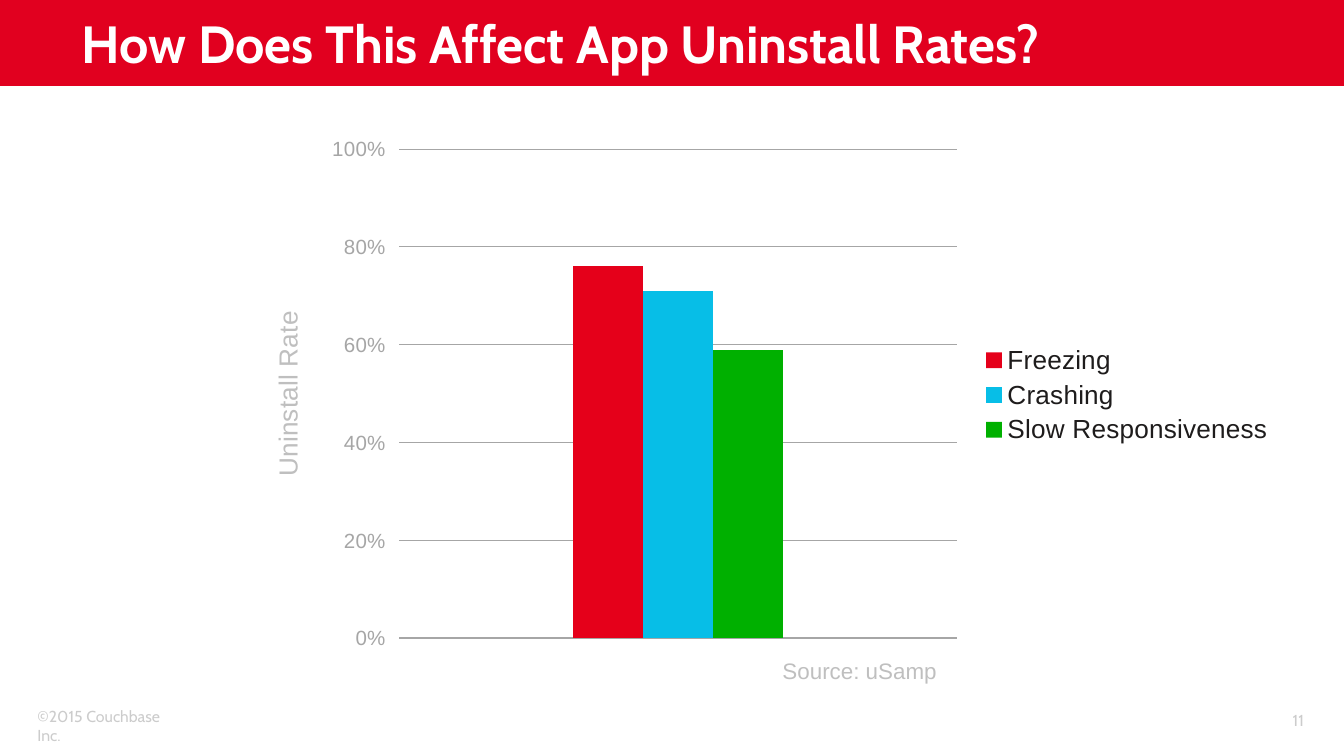
from lxml import etree
from pptx import Presentation
from pptx.chart.data import CategoryChartData
from pptx.dml.color import RGBColor
from pptx.enum.chart import XL_CHART_TYPE, XL_LEGEND_POSITION, XL_TICK_LABEL_POSITION, XL_TICK_MARK
from pptx.enum.shapes import MSO_SHAPE
from pptx.enum.text import MSO_ANCHOR, PP_ALIGN
from pptx.oxml.ns import qn
from pptx.util import Inches, Pt

RED = RGBColor(0xE1, 0x00, 0x1F)
WHITE = RGBColor(0xFF, 0xFF, 0xFF)
INK = RGBColor(0x1E, 0x1C, 0x1C)
AXIS_GRAY = RGBColor(0xA6, 0xA6, 0xA6)
LABEL_GRAY = RGBColor(0xBF, 0xBF, 0xBF)
FOOTER_GRAY = RGBColor(0xCC, 0xCC, 0xCC)

CHART_WIDTH, CHART_HEIGHT = 7.78, 3.98
SERIES = [
    ("Freezing", 0.76, RGBColor(0xE5, 0x00, 0x1A)),
    ("Crashing", 0.71, RGBColor(0x07, 0xBE, 0xE7)),
    ("Slow Responsiveness", 0.59, RGBColor(0x00, 0xB0, 0x00)),
]


def set_font(font, size, color, name="Arial", bold=False):
    values = {"size": Pt(size), "name": name, "bold": bold}
    for key, value in values.items():
        setattr(font, key, value)
    font.color.rgb = color


def add_banner(s):
    sp = s.shapes.add_shape(MSO_SHAPE.RECTANGLE, 0, 0, Inches(10), Inches(0.64))
    sp.shadow.inherit = False
    sp.fill.solid()
    sp.fill.fore_color.rgb = RED
    sp.line.fill.background()


def add_text(s, text, box, font, align=PP_ALIGN.LEFT, anchor=MSO_ANCHOR.TOP,
             wrap=True, spacing=1.0):
    tf = s.shapes.add_textbox(*(Inches(v) for v in box)).text_frame
    tf.word_wrap = wrap
    tf.vertical_anchor = anchor
    p = tf.paragraphs[0]
    p.alignment = align
    p.line_spacing = spacing
    r = p.add_run()
    r.text = text
    set_font(r.font, **font)


def place(element, index, **inches):
    """Give a chart part a manual layout, in inches from the chart's corner."""
    for old in element.findall(qn("c:layout")):
        element.remove(old)
    layout = etree.Element(qn("c:layout"))
    manual = etree.SubElement(layout, qn("c:manualLayout"))
    if "w" in inches:
        etree.SubElement(manual, qn("c:layoutTarget")).set("val", "inner")
    for key in ("xMode", "yMode"):
        etree.SubElement(manual, qn(f"c:{key}")).set("val", "edge")
    for key, value in inches.items():
        whole = CHART_WIDTH if key in "xw" else CHART_HEIGHT
        etree.SubElement(manual, qn(f"c:{key}")).set("val", str(value / whole))
    element.insert(index, layout)


def format_axes(chart):
    cat = chart.category_axis
    cat.tick_label_position = XL_TICK_LABEL_POSITION.NONE
    cat.major_tick_mark = XL_TICK_MARK.NONE
    cat.format.line.color.rgb = AXIS_GRAY
    cat.format.line.width = Pt(1.25)

    val = chart.value_axis
    values = {"minimum_scale": 0, "maximum_scale": 1, "major_unit": 0.2,
              "major_tick_mark": XL_TICK_MARK.OUTSIDE, "has_major_gridlines": True}
    for key, value in values.items():
        setattr(val, key, value)
    val.format.line.fill.background()
    grid = val.major_gridlines.format.line
    grid.color.rgb = AXIS_GRAY
    grid.width = Pt(0.5)
    val.tick_labels.number_format = "0%"
    val.tick_labels.number_format_is_linked = False
    set_font(val.tick_labels.font, 11, AXIS_GRAY)

    p = val.axis_title.text_frame.paragraphs[0]
    r = p.add_run()
    r.text = "Uninstall Rate"
    set_font(r.font, 14, LABEL_GRAY)
    place(val.axis_title._element, 1, x=0.18, y=1.33)


def add_uninstall_chart(s):
    data = CategoryChartData(number_format="0%")
    data.categories = ["1"]
    for name, rate, _ in SERIES:
        data.add_series(name, [rate])
    box = [Inches(v) for v in (1.8, 0.95, CHART_WIDTH, CHART_HEIGHT)]
    chart = s.shapes.add_chart(XL_CHART_TYPE.COLUMN_CLUSTERED, *box, data).chart
    set_font(chart.font, 18, INK, "Cabin")
    chart.has_title = False
    chart.has_legend = True
    chart.legend.position = XL_LEGEND_POSITION.RIGHT
    chart.legend.include_in_layout = False
    set_font(chart.legend.font, 14, INK)

    plot = chart.plots[0]
    plot.gap_width = 500
    plot.overlap = 0
    plot.vary_by_categories = False
    for series, (_, _, color) in zip(plot.series, SERIES):
        series.format.fill.solid()
        series.format.fill.fore_color.rgb = color
    format_axes(chart)
    plot_area = chart._chartSpace.chart.plotArea
    place(plot_area, 0, x=1.17, y=0.16, w=4.15, h=3.64)


def main():
    prs = Presentation()
    prs.slide_width = Inches(10)
    prs.slide_height = prs.slide_width * 9 // 16
    s = prs.slides.add_slide(prs.slide_layouts[6])
    footer = {"size": 8.5, "color": FOOTER_GRAY, "name": "Cabin"}

    add_banner(s)
    add_text(s, "©2015 Couchbase Inc.", (0.18, 5.21, 1.29, 0.24), footer)
    add_text(s, "11", (8.99, 5.21, 0.81, 0.3), footer, PP_ALIGN.RIGHT, MSO_ANCHOR.MIDDLE)
    add_text(s, "How Does This Affect App Uninstall Rates?", (0.51, 0.01, 8.75, 0.59),
             {"size": 28, "color": WHITE, "name": "Cabin", "bold": True},
             anchor=MSO_ANCHOR.BOTTOM, spacing=0.8)
    add_uninstall_chart(s)
    add_text(s, "Source: uSamp", (5.71, 4.84, 1.36, 0.3),
             {"size": 12, "color": LABEL_GRAY}, PP_ALIGN.RIGHT, wrap=False)
    prs.save("out.pptx")


if __name__ == "__main__":
    main()
